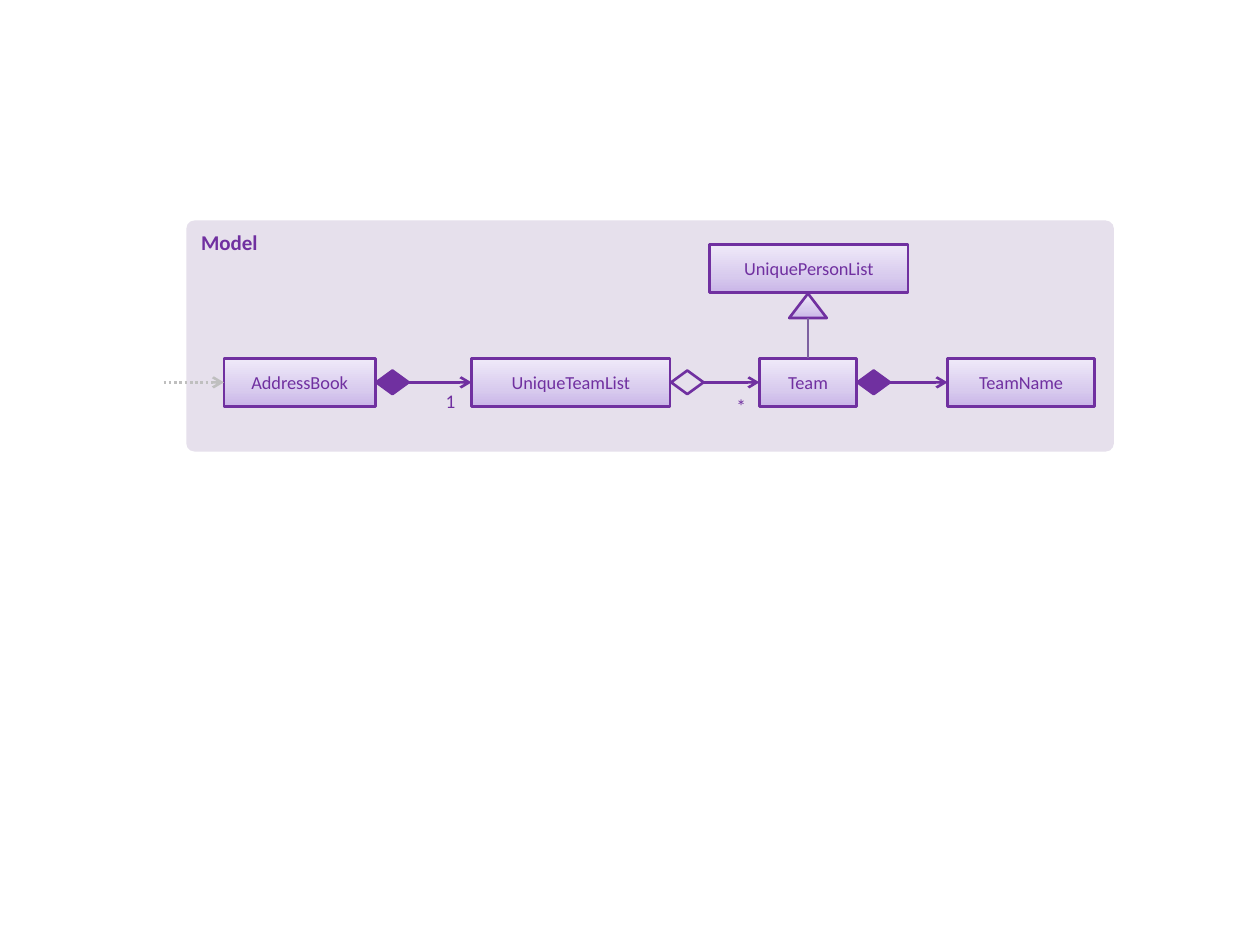
from copy import deepcopy

from pptx import Presentation
from pptx.dml.color import RGBColor
from pptx.enum.dml import MSO_LINE
from pptx.enum.shapes import MSO_CONNECTOR, MSO_SHAPE
from pptx.enum.text import MSO_ANCHOR, PP_ALIGN
from pptx.oxml.ns import qn
from pptx.util import Pt

RECT, PANEL = MSO_SHAPE.RECTANGLE, MSO_SHAPE.ROUNDED_RECTANGLE
DIAMOND, TRIANGLE = MSO_SHAPE.FLOWCHART_DECISION, MSO_SHAPE.ISOSCELES_TRIANGLE
STRAIGHT, DOTTED = MSO_CONNECTOR.STRAIGHT, MSO_LINE.ROUND_DOT
TOP, MIDDLE = MSO_ANCHOR.TOP, MSO_ANCHOR.MIDDLE
LEFT, CENTER = PP_ALIGN.LEFT, PP_ALIGN.CENTER
TOP_SIDE, LEFT_SIDE, RIGHT_SIDE = 0, 1, 3

PURPLE, LILAC, GREY, MUTED = "7030A0", "E6E0EC", "BFBFBF", "7D60A0"
GRADIENT = [(0, "C9B5E8"), (0.35, "D8CBEE"), (1, "F0EAF9")]
STROKE = 1.5
CLASS_HEIGHT = 27.5
DIAMOND_SIZE = (18.5, 13.5)


def color(hex_value):
    return RGBColor.from_string(hex_value)


def set_text(shape, text, size, bold=False, align=CENTER, anchor=MIDDLE, inset=None):
    frame = shape.text_frame
    frame.word_wrap = True
    frame.vertical_anchor = anchor
    if inset is not None:
        for side in ("left", "top", "right", "bottom"):
            setattr(frame, f"margin_{side}", Pt(inset))
    paragraph = frame.paragraphs[0]
    paragraph.alignment = align
    run = paragraph.add_run()
    run.text = text
    for name, value in {"name": "Calibri", "size": Pt(size), "bold": bold}.items():
        setattr(run.font, name, value)
    run.font.color.rgb = color(PURPLE)


def fill_gradient(shape):
    shape.fill.gradient()
    shape.fill.gradient_angle = 90
    stop_list = shape._element.spPr.find(qn("a:gradFill")).find(qn("a:gsLst"))
    stop_list.insert(1, deepcopy(stop_list[0]))
    for stop, (position, shade) in zip(shape.fill.gradient_stops, GRADIENT):
        stop.position = position
        stop.color.rgb = color(shade)


def add_figure(slide, kind, left, top, width, height, fill=None, line=PURPLE):
    """Add a shape; fill is a hex string, GRADIENT, or None for hollow."""
    figure = slide.shapes.add_shape(kind, Pt(left), Pt(top), Pt(width), Pt(height))
    figure.shadow.inherit = False
    if fill is GRADIENT:
        fill_gradient(figure)
    elif fill:
        figure.fill.solid()
        figure.fill.fore_color.rgb = color(fill)
    else:
        figure.fill.background()
    if line:
        figure.line.color.rgb = color(line)
        figure.line.width = Pt(STROKE)
    else:
        figure.line.fill.background()
    return figure


def add_class(slide, name, left, middle, width):
    box = add_figure(slide, RECT, left, middle - CLASS_HEIGHT / 2, width,
                     CLASS_HEIGHT, GRADIENT)
    set_text(box, name, 10.5)
    return box


def add_link(slide, start, end, line=PURPLE, arrow=True, dash=None):
    link = slide.shapes.add_connector(STRAIGHT, *map(Pt, start + end))
    link.line.color.rgb = color(line)
    link.line.width = Pt(STROKE)
    if dash:
        link.line.dash_style = dash
    properties = link._element.spPr
    if arrow:
        outline = properties.find(qn("a:ln"))
        outline.append(outline.makeelement(qn("a:tailEnd"), {"type": "arrow"}))
    properties.append(properties.makeelement(qn("a:effectLst"), {}))
    return link


def add_multiplicity(slide, text, left, top):
    label = slide.shapes.add_textbox(Pt(left), Pt(top), Pt(15), Pt(14.5))
    set_text(label, text, 11, anchor=TOP, inset=0)


def add_ownership(slide, owner, part, fill):
    """Diamond at the owner's right side, with an arrow to the part."""
    width, height = DIAMOND_SIZE
    left = owner.left.pt + owner.width.pt + 0.5
    middle = owner.top.pt + CLASS_HEIGHT / 2
    diamond = add_figure(slide, DIAMOND, left, middle - height / 2, width, height, fill)
    link = add_link(slide, (left + width, middle), (part.left.pt, middle))
    link.begin_connect(diamond, RIGHT_SIDE)
    link.end_connect(part, LEFT_SIDE)


def add_inheritance(slide, parent, child):
    """Triangle under the parent, with a plain line down to the child."""
    width, height = 21.5, 14
    center = child.left.pt + child.width.pt / 2
    top = parent.top.pt + CLASS_HEIGHT + 0.5
    add_figure(slide, TRIANGLE, center - width / 2, top, width, height, GRADIENT)
    link = add_link(slide, (center, top + height), (center, child.top.pt), MUTED, False)
    link.end_connect(child, TOP_SIDE)


def add_model_diagram(slide, left, top, width, height):
    # Panel with its title
    panel = add_figure(slide, PANEL, left, top, width, height, LILAC, None)
    panel.adjustments[0] = 0.035
    set_text(panel, "Model", 12, bold=True, align=LEFT, anchor=TOP)

    # Classes: one row, and the parent class above it
    row = top + 92.5
    address_book = add_class(slide, "AddressBook", left + 21.5, row, 86.5)
    team_list = add_class(slide, "UniqueTeamList", left + 163, row, 113.5)
    team = add_class(slide, "Team", left + 327.5, row, 55.5)
    team_name = add_class(slide, "TeamName", left + 435, row, 84)
    person_list = add_class(slide, "UniquePersonList", left + 299, top + 27.5, 113.5)

    # Relations
    add_ownership(slide, address_book, team_list, PURPLE)
    add_ownership(slide, team_list, team, None)
    add_ownership(slide, team, team_name, PURPLE)
    add_inheritance(slide, person_list, team)
    add_multiplicity(slide, "1", left + 143.5, top + 96.5)
    add_multiplicity(slide, "*", left + 309.5, top + 99.5)

    # Entry arrow from outside the panel
    entry = add_link(slide, (left - 13, row), (address_book.left.pt, row), GREY, dash=DOTTED)
    entry.end_connect(address_book, LEFT_SIDE)


def main():
    deck = Presentation()
    deck.slide_width, deck.slide_height = Pt(720), Pt(540)
    slide = deck.slides.add_slide(deck.slide_layouts[6])
    add_model_diagram(slide, 106.5, 126, 530, 132)
    deck.save("out.pptx")


if __name__ == "__main__":
    main()
